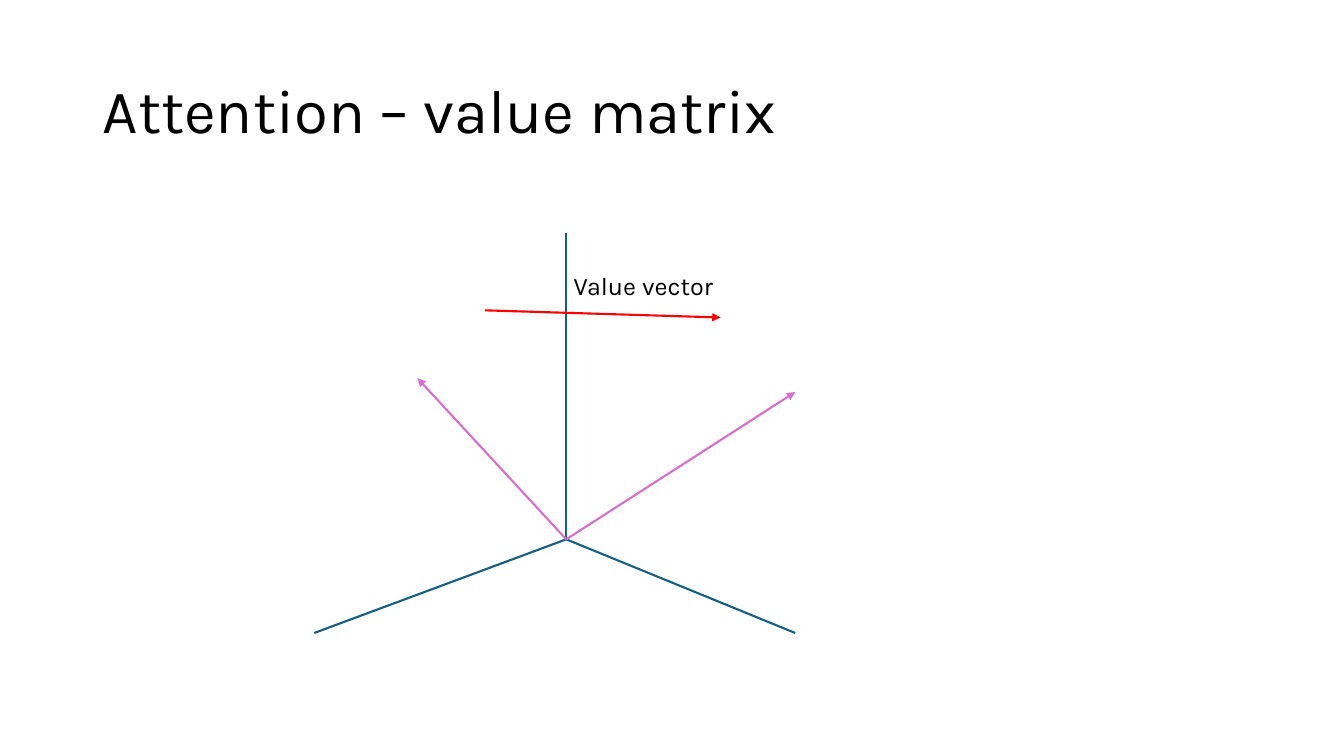
import pptx
import pptx.util
import pptx.dml.color
import pptx.enum.shapes
import pptx.enum.text
import lxml.etree
from pptx.oxml.ns import qn

Cm, Pt = pptx.util.Cm, pptx.util.Pt
ALIGN = pptx.enum.text.PP_ALIGN
ANCHOR = pptx.enum.text.MSO_ANCHOR

FONT = "Karla"
AXIS, INPUT, VALUE = "156082", "D86ECC", "FF0000"
ORIGIN = (14.27, 13.59)

LINES = [
    (ORIGIN, (14.27, 5.87), AXIS, False),
    (ORIGIN, (7.92, 15.95), AXIS, False),
    (ORIGIN, (20.04, 15.95), AXIS, False),
    (ORIGIN, (10.52, 9.53), INPUT, True),
    (ORIGIN, (20.04, 9.88), INPUT, True),
    ((12.22, 7.82), (18.16, 8.0), VALUE, True),
]
TEXTS = [
    ("Attention – value matrix", (2.34, 1.02, 29.21, 3.68), 44, ALIGN.LEFT, ANCHOR.MIDDLE, 0.9),
    ("Value vector", (13.46, 6.68, 5.51, 1.02), 18, ALIGN.CENTER, ANCHOR.TOP, 1.0),
]


def color(value):
    return pptx.dml.color.RGBColor.from_string(value)


def add_line(s, start, end, line_color, arrow):
    points = [Cm(v) for v in start + end]
    sp = s.shapes.add_connector(pptx.enum.shapes.MSO_CONNECTOR.STRAIGHT, *points)
    sp.line.color.rgb = color(line_color)
    sp.line.width = Pt(1.5)
    if arrow:
        ln = sp.line._get_or_add_ln()
        lxml.etree.SubElement(ln, qn("a:tailEnd"), type="triangle")
    lxml.etree.SubElement(sp._element.spPr, qn("a:effectLst"))


def add_text(s, text, box, size, align, anchor, spacing):
    tf = s.shapes.add_textbox(*[Cm(v) for v in box]).text_frame
    tf.word_wrap = True
    tf.vertical_anchor = anchor
    tf.text = text
    p = tf.paragraphs[0]
    p.alignment = align
    p.line_spacing = spacing
    r = p.runs[0]
    r.font.name = FONT
    r.font.size = Pt(size)
    r.font.color.rgb = color("000000")


def main():
    prs = pptx.Presentation()
    prs.slide_width, prs.slide_height = Cm(33.87), Cm(19.05)
    s = prs.slides.add_slide(prs.slide_layouts[6])
    for line in LINES:
        add_line(s, *line)
    for text in TEXTS:
        add_text(s, *text)
    prs.save("out.pptx")


if __name__ == "__main__":
    main()
